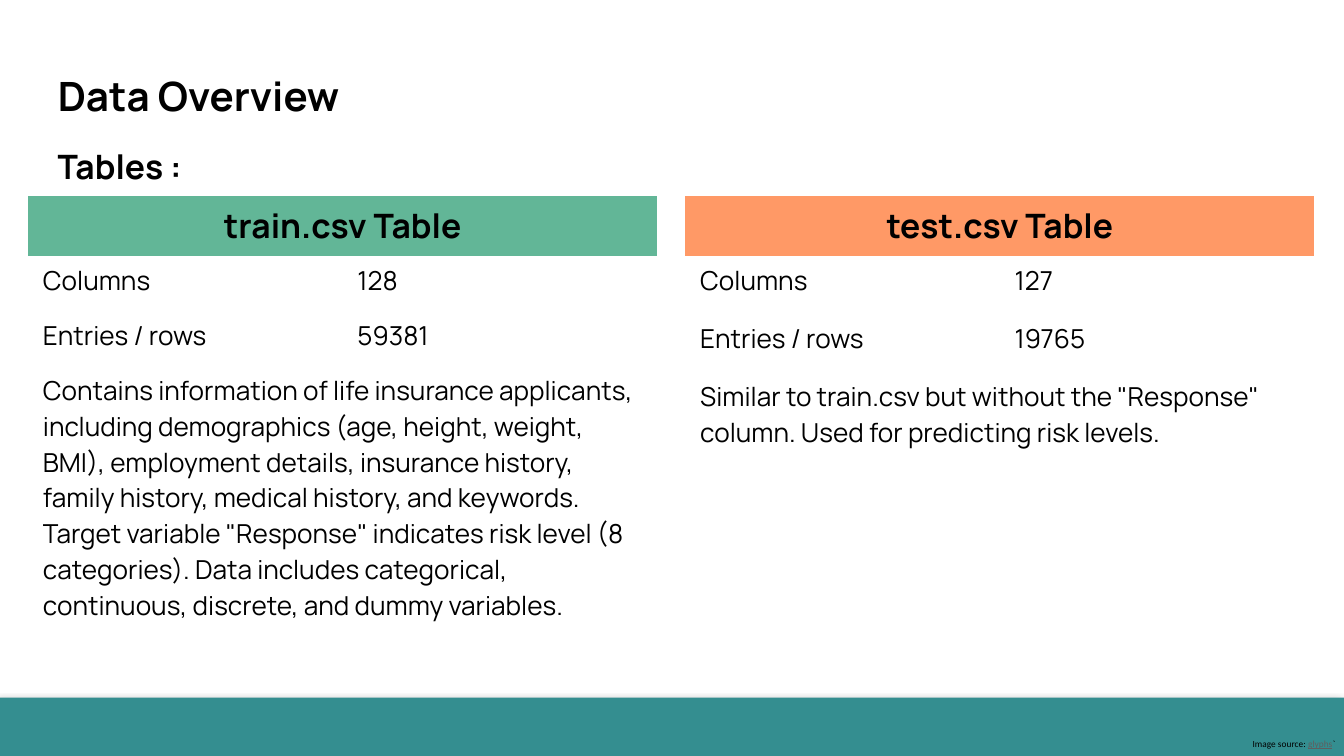
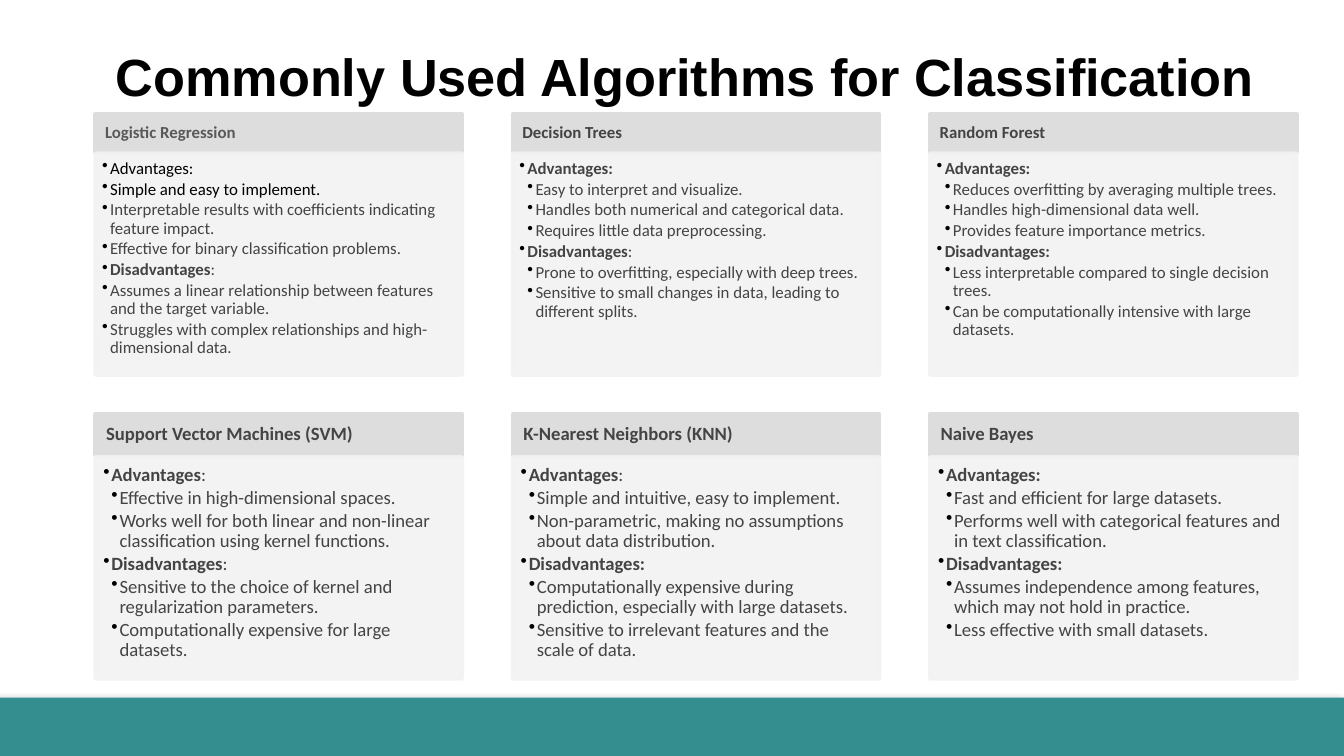
from dataclasses import dataclass

from lxml.etree import SubElement
from pptx import Presentation
from pptx.dml.color import RGBColor
from pptx.enum.shapes import MSO_SHAPE
from pptx.enum.text import MSO_ANCHOR, MSO_AUTO_SIZE, PP_ALIGN
from pptx.oxml.ns import qn
from pptx.util import Inches, Pt

COLORS = {
    "ink": "000000", "teal": "348E90", "green": "62B697", "orange": "FF9966",
    "card_header": "DDDDDD", "card_body": "F2F2F2",
    "text": "444444", "muted": "595959", "credit": "5F5F5F",
}
COLUMNS, ROWS = 100, 56.25  # square cells of a tenth of an inch
NO_GRID_STYLE = "{2D5ABB26-0587-4C30-8999-92F81FD0307C}"


@dataclass
class Algorithm:
    """Points: '#' opens a heading, '|' ends its bold part, '-' indents an item."""
    name: str
    points: list
    name_color: str = "text"
    black_points: int = 0


ALGORITHM_ROWS = [
    [
        Algorithm("Logistic Regression", [
            "Advantages:",
            "Simple and easy to implement.",
            "Interpretable results with coefficients indicating feature impact.",
            "Effective for binary classification problems.",
            "#Disadvantages|:",
            "Assumes a linear relationship between features and the target variable.",
            "Struggles with complex relationships and high-dimensional data.",
        ], name_color="muted", black_points=2),
        Algorithm("Decision Trees", [
            "#Advantages:",
            "-Easy to interpret and visualize.",
            "-Handles both numerical and categorical data.",
            "-Requires little data preprocessing.",
            "#Disadvantages|:",
            "-Prone to overfitting, especially with deep trees.",
            "-Sensitive to small changes in data, leading to different splits.",
        ]),
        Algorithm("Random Forest", [
            "#Advantages:",
            "-Reduces overfitting by averaging multiple trees.",
            "-Handles high-dimensional data well.",
            "-Provides feature importance metrics.",
            "#Disadvantages:",
            "-Less interpretable compared to single decision trees.",
            "-Can be computationally intensive with large datasets.",
        ]),
    ],
    [
        Algorithm("Support Vector Machines (SVM)", [
            "#Advantages|:",
            "-Effective in high-dimensional spaces.",
            "-Works well for both linear and non-linear classification using kernel functions.",
            "#Disadvantages|:",
            "-Sensitive to the choice of kernel and regularization parameters.",
            "-Computationally expensive for large datasets.",
        ]),
        Algorithm("K-Nearest Neighbors (KNN)", [
            "#Advantages|:",
            "-Simple and intuitive, easy to implement.",
            "-Non-parametric, making no assumptions about data distribution.",
            "#Disadvantages:",
            "-Computationally expensive during prediction, especially with large datasets.",
            "-Sensitive to irrelevant features and the scale of data.",
        ]),
        Algorithm("Naive Bayes", [
            "#Advantages:",
            "-Fast and efficient for large datasets.",
            "-Performs well with categorical features and in text classification.",
            "#Disadvantages:",
            "-Assumes independence among features, which may not hold in practice.",
            "-Less effective with small datasets.",
        ]),
    ],
]

TRAIN_NOTE = (
    "Contains information of life insurance applicants, including demographics "
    "(age, height, weight, BMI), employment details, insurance history, family history, "
    "medical history, and keywords. Target variable \"Response\" indicates risk level "
    "(8 categories). Data includes categorical, continuous, discrete, and dummy variables."
)
TEST_NOTE = ("Similar to train.csv but without the \"Response\" column. "
             "Used for predicting risk levels.")


def rgb(color):
    return RGBColor.from_string(COLORS[color])


def set_font(font, name, size, color="ink", bold=False):
    font.name, font.size, font.bold = name, Pt(size), bold
    font.color.rgb = rgb(color)


def set_alpha(fill_parent, percent):
    color = next(fill_parent.iter(qn("a:srgbClr")))
    SubElement(color, qn("a:alpha"), val=str(percent * 1000))


def add_bullet(paragraph, level):
    properties = paragraph._p.get_or_add_pPr()
    properties.set("marL", str(Inches(0.06 * level)))
    properties.set("indent", str(-Inches(0.06)))
    bullet_color = SubElement(properties, qn("a:buClr"))
    SubElement(bullet_color, qn("a:srgbClr"), val=COLORS["ink"])
    SubElement(properties, qn("a:buChar"), char="•")


class Deck:
    def __init__(self):
        self.presentation = Presentation()
        self.presentation.slide_width = Inches(COLUMNS / 10)
        self.presentation.slide_height = Inches(ROWS / 10)
        self.slide = None

    def cells(self, *counts):
        """Turn grid cells into lengths."""
        return [Inches(count / 10) for count in counts]

    def start_slide(self):
        layout = self.presentation.slide_layouts[5]
        self.slide = self.presentation.slides.add_slide(layout)
        band = self.box((0, 51.9, COLUMNS, ROWS - 51.9), "teal")
        effects = SubElement(band._element.spPr, qn("a:effectLst"))
        shadow = SubElement(effects, qn("a:outerShdw"), blurRad=str(Pt(4)),
                            dist=str(Pt(3)), dir=str(135 * 60000), rotWithShape="0")
        SubElement(shadow, qn("a:srgbClr"), val=COLORS["ink"])
        set_alpha(shadow, 40)

    def box(self, place, fill, alpha=None):
        """Draw a rectangle; with alpha it gets a line of its own colour."""
        shape = self.slide.shapes.add_shape(MSO_SHAPE.RECTANGLE, *self.cells(*place))
        properties = shape._element.spPr
        if alpha is None:
            shape.line.fill.background()
        else:
            shape.shadow.inherit = False
            shape.line.color.rgb = rgb(fill)
            shape.line.width = Pt(2)
        shape.fill.solid()
        shape.fill.fore_color.rgb = rgb(fill)
        if alpha and alpha < 100:
            set_alpha(properties.find(qn("a:solidFill")), alpha)
            set_alpha(properties.find(qn("a:ln")), alpha)
        return shape

    def frame(self, shape, insets, anchor=MSO_ANCHOR.TOP):
        """Set margins (left, top, right, bottom, in cells) and anchor."""
        frame = shape.text_frame
        frame.word_wrap = True
        frame.auto_size = MSO_AUTO_SIZE.NONE
        frame.vertical_anchor = anchor
        (frame.margin_left, frame.margin_top,
         frame.margin_right, frame.margin_bottom) = self.cells(*insets)
        return frame

    def title(self, place, text, font, size, align, anchor, insets):
        title = self.slide.shapes.title
        title.left, title.top, title.width, title.height = self.cells(*place)
        paragraph = self.frame(title, insets, anchor).paragraphs[0]
        paragraph.text, paragraph.alignment = text, align
        set_font(paragraph.font, font, size, bold=True)

    def label(self, place, text, font, size, bold=False, insets=(1, 0.5, 1, 0.5)):
        label = self.slide.shapes.add_textbox(*self.cells(*place))
        paragraph = self.frame(label, insets).paragraphs[0]
        paragraph.text = text
        set_font(paragraph.font, font, size, bold=bold)
        return paragraph

    def table(self, left, heading, fill, row_heights, facts, note):
        top, width = 14.6, 46.8
        graphic = self.slide.shapes.add_table(
            len(row_heights), 2, *self.cells(left, top, width, sum(row_heights)))
        table = graphic.table
        table.first_row = table.horz_banding = False
        table._tbl.tblPr.find(qn("a:tableStyleId")).text = NO_GRID_STYLE
        for row, height in zip(table.rows, self.cells(*row_heights)):
            row.height = height
        for row, texts in enumerate([(heading,), *facts, (note,)]):
            if len(texts) == 1:
                table.cell(row, 0).merge(table.cell(row, 1))
            for column, text in enumerate(texts):
                cell = table.cell(row, column)
                cell.margin_left, cell.margin_right = self.cells(1.1, 1.1)
                cell.margin_top, cell.margin_bottom = self.cells(0.5, 0.5)
                paragraph = cell.text_frame.paragraphs[0]
                paragraph.text = text
                if row == 0:
                    cell.fill.solid()
                    cell.fill.fore_color.rgb = rgb(fill)
                    paragraph.alignment = PP_ALIGN.CENTER
                else:
                    cell.fill.background()
                set_font(paragraph.font, "Manrope", 18 if row == 0 else 14, bold=row == 0)

    def card(self, algorithm, left, top, width, header_height, size):
        header = self.box((left, top, width, header_height), "card_header", 100)
        side = size * 0.08
        name = self.frame(header, (side, 0.4, side, 0.4), MSO_ANCHOR.MIDDLE).paragraphs[0]
        name.text, name.alignment, name.line_spacing = algorithm.name, PP_ALIGN.LEFT, 0.9
        set_font(name.font, "Calibri", size, algorithm.name_color, bold=True)

        body = self.box((left, top + header_height + 0.1, width, 16.5), "card_body", 90)
        near = 0.5 if size == 9 else 0.6
        frame = self.frame(body, (near, near, side, 0.9))
        for index, point in enumerate(algorithm.points):
            paragraph = frame.add_paragraph() if index else frame.paragraphs[0]
            level = 2 if point.startswith("-") else 1
            heading = point.startswith("#")
            strong, _, plain = point.lstrip("#-").partition("|")
            paragraph.alignment, paragraph.level = PP_ALIGN.LEFT, level
            paragraph.line_spacing = 0.9
            paragraph.space_before, paragraph.space_after = Pt(0), Pt(size * 0.15)
            add_bullet(paragraph, level)
            color = "ink" if index < algorithm.black_points else "text"
            set_font(paragraph.font, "Calibri", size, color, bold=heading)
            paragraph.add_run().text = strong
            if plain:
                colon = paragraph.add_run()
                colon.text, colon.font.bold = plain, False


def build_data_overview(deck):
    deck.start_slide()
    deck.title((3.3, 0.1, 87.6, 9.3), "Data Overview", "Manrope", 21.6,
               PP_ALIGN.LEFT, MSO_ANCHOR.BOTTOM, (1, 1, 1, 0.5))
    credit = deck.label((93.2, 54.9, 6.6, 0.8), "Image source: ", "Calibri", 5,
                        insets=(0, 0, 0, 0))
    source = credit.add_run()
    source.text, source.font.underline = "glyphs", True
    source.font.color.rgb = rgb("credit")
    credit.add_run().text = "`"
    deck.table(2.1, "train.csv Table", "green", (4.1, 4.1, 4.1, 19.5),
               [("Columns", "128"), ("Entries / rows", "59381")], TRAIN_NOTE)
    deck.table(51, "test.csv Table", "orange", (4.33, 4.33, 4.33, 18.5),
               [("Columns", "127"), ("Entries / rows", "19765")], TEST_NOTE)
    deck.label((3.3, 10.4, 35.4, 4), "Tables :", "Manrope", 18, bold=True)


def build_algorithms(deck):
    deck.start_slide()
    deck.title((3.5, 2.4, 94.9, 5.8), "Commonly Used Algorithms for Classification",
               "Arial", 28, PP_ALIGN.CENTER, MSO_ANCHOR.TOP, (1, 0.9, 1, 0.5))
    row_styles = [(8.5, 2.8, 9), (30.8, 3.1, 10)]
    for algorithms, (top, header_height, size) in zip(ALGORITHM_ROWS, row_styles):
        for column, algorithm in enumerate(algorithms):
            deck.card(algorithm, 7.1 + 31.05 * column, top, 27.3, header_height, size)


def main():
    deck = Deck()
    build_data_overview(deck)
    build_algorithms(deck)
    deck.presentation.save("out.pptx")


if __name__ == "__main__":
    main()
